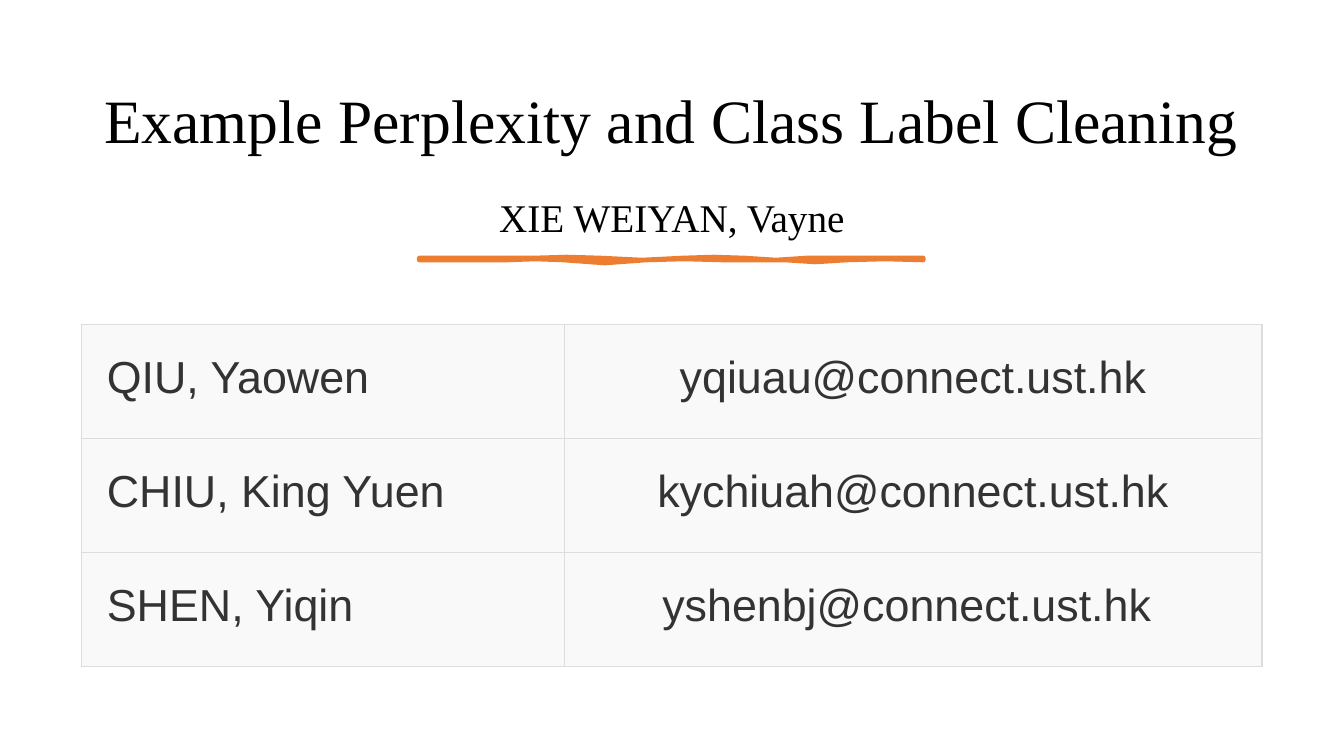
from lxml import etree
from pptx import Presentation
from pptx.dml.color import RGBColor
from pptx.enum.text import MSO_ANCHOR, MSO_AUTO_SIZE, PP_ALIGN
from pptx.oxml.ns import qn
from pptx.util import Pt

LEFT, CENTER = PP_ALIGN.LEFT, PP_ALIGN.CENTER
BOTTOM = MSO_ANCHOR.BOTTOM
NO_AUTOFIT = MSO_AUTO_SIZE.NONE

MEMBERS = [
    ("QIU, Yaowen", "yqiuau@connect.ust.hk"),
    ("CHIU, King Yuen", "kychiuah@connect.ust.hk"),
    ("SHEN, Yiqin", "yshenbj@connect.ust.hk "),
]
COLUMNS = [(344.9, LEFT), (498.2, CENTER)]  # width, alignment
ROW_HEIGHT = 81.4

# Hand-drawn rule: vertices in hundredths of an inch
UPPER_EDGE = [
    (416, 256), (473, 256), (529, 256), (563, 255), (596, 256), (637, 258),
    (677, 256), (708, 255), (739, 256), (770, 258), (800, 256), (850, 256),
    (916, 256),
]
LOWER_EDGE = [
    (916, 258), (878, 257), (840, 258), (809, 260), (779, 258), (717, 258),
    (679, 257), (641, 258), (600, 261), (559, 258), (531, 257), (503, 258),
    (416, 258),
]


def rgb(color):
    return RGBColor.from_string(color)


def format_paragraph(p, font, size, color, align, spacing):
    p.alignment = align
    p.line_spacing = spacing
    for r in p.runs:
        r.font.name = font
        r.font.size = Pt(size)
        r.font.color.rgb = rgb(color)


def add_title(slide, title, author):
    sp = slide.shapes.title
    sp.left, sp.top, sp.width, sp.height = Pt(50.4), Pt(31.7), Pt(859), Pt(144)
    tf = sp.text_frame
    tf.word_wrap = True
    tf.auto_size = NO_AUTOFIT
    tf.vertical_anchor = BOTTOM
    tf.text = f"{title}\n{author}"
    for p, size, gap in zip(tf.paragraphs, (44, 28), (0, 30)):
        format_paragraph(p, "Times New Roman", size, "000000", CENTER, 0.9)
        p.space_before = Pt(gap)


def add_brush_stroke(slide, points, color):
    start, *rest = [(Pt(0.72 * x), Pt(0.72 * y)) for x, y in points]
    builder = slide.shapes.build_freeform(*start)
    builder.add_line_segments(rest, close=True)
    sp = builder.convert_to_shape()
    sp.shadow.inherit = False
    sp.fill.solid()
    sp.fill.fore_color.rgb = rgb(color)
    sp.line.color.rgb = rgb(color)
    sp.line.width = Pt(3.25)


def set_borders(cell, color, width):
    tcPr = cell._tc.get_or_add_tcPr()
    for i, side in enumerate(("a:lnL", "a:lnR", "a:lnT", "a:lnB")):
        ln = etree.Element(qn(side), w=str(Pt(width)))
        fill = etree.SubElement(ln, qn("a:solidFill"))
        etree.SubElement(fill, qn("a:srgbClr"), val=color)
        tcPr.insert(i, ln)


def format_cell(cell, text, align):
    cell.margin_left = cell.margin_right = Pt(18)
    cell.margin_top = cell.margin_bottom = Pt(18)
    cell.fill.solid()
    cell.fill.fore_color.rgb = rgb("F9F9F9")
    set_borders(cell, "DDDDDD", 1)
    p = cell.text_frame.paragraphs[0]
    p.text = text
    format_paragraph(p, "Arial", 32, "333333", align, 1.07)
    p.space_after = Pt(15)


def add_member_table(slide):
    width = sum(w for w, _ in COLUMNS)
    frame = slide.shapes.add_table(len(MEMBERS), len(COLUMNS), Pt(58.3), Pt(231.8),
                                   Pt(width), Pt(ROW_HEIGHT * len(MEMBERS)))
    table = frame.table
    table.first_row = table.horz_banding = False
    for column, (w, _) in zip(table.columns, COLUMNS):
        column.width = Pt(w)
    for row, member in zip(table.rows, MEMBERS):
        row.height = Pt(ROW_HEIGHT)
        for cell, text, (_, align) in zip(row.cells, member, COLUMNS):
            format_cell(cell, text, align)


def main():
    prs = Presentation()
    prs.slide_width, prs.slide_height = Pt(960), Pt(540)
    slide = prs.slides.add_slide(prs.slide_layouts[0])
    subtitle = slide.placeholders[1].element
    subtitle.getparent().remove(subtitle)

    # Heading
    add_title(slide, "Example Perplexity and Class Label Cleaning", "XIE WEIYAN, Vayne")

    # Orange rule under the author
    add_brush_stroke(slide, UPPER_EDGE + LOWER_EDGE, "ED7D31")

    # Names and addresses
    add_member_table(slide)
    prs.save("out.pptx")


if __name__ == "__main__":
    main()
